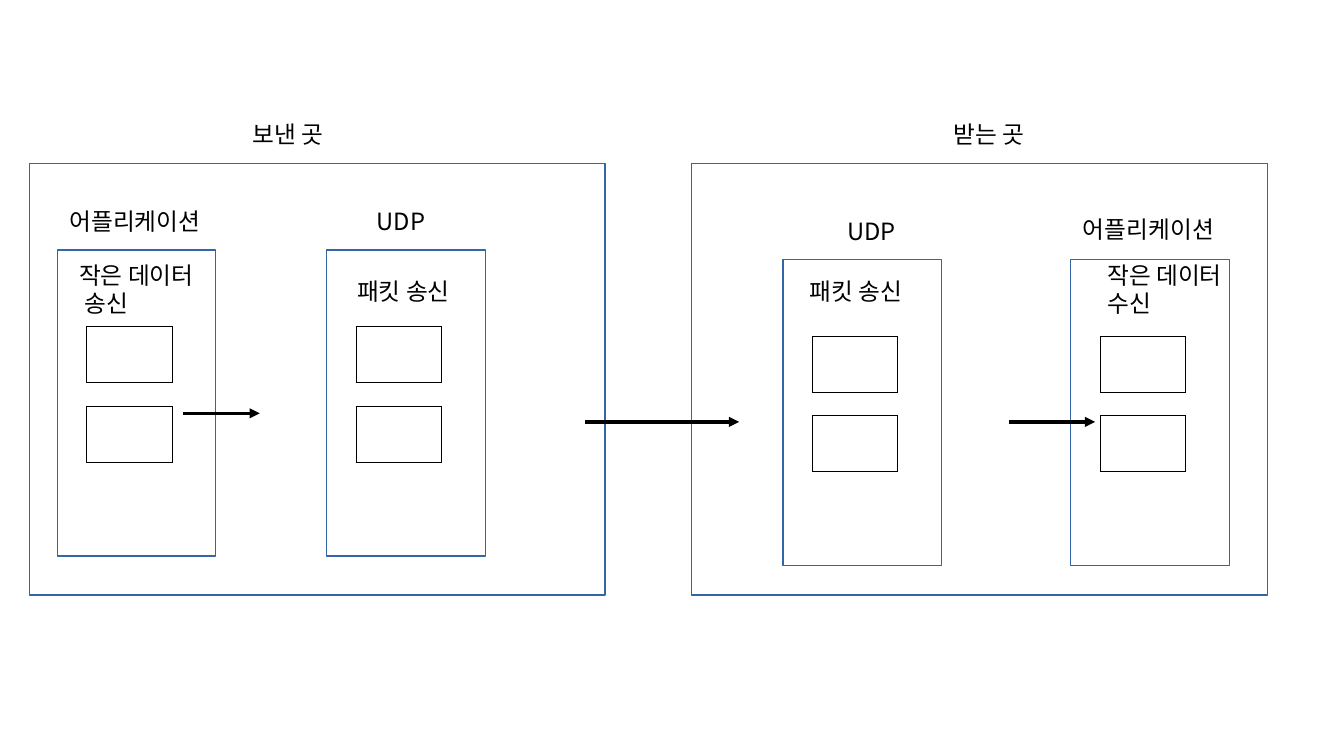
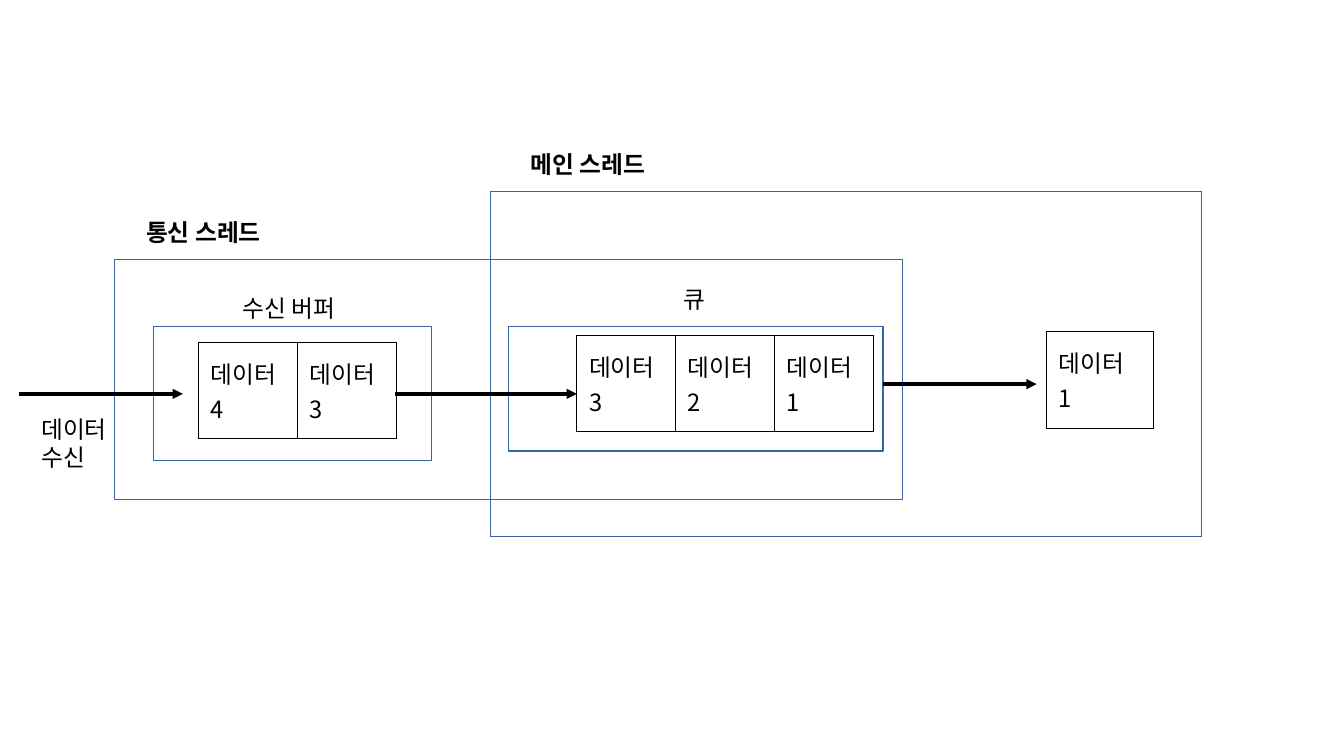
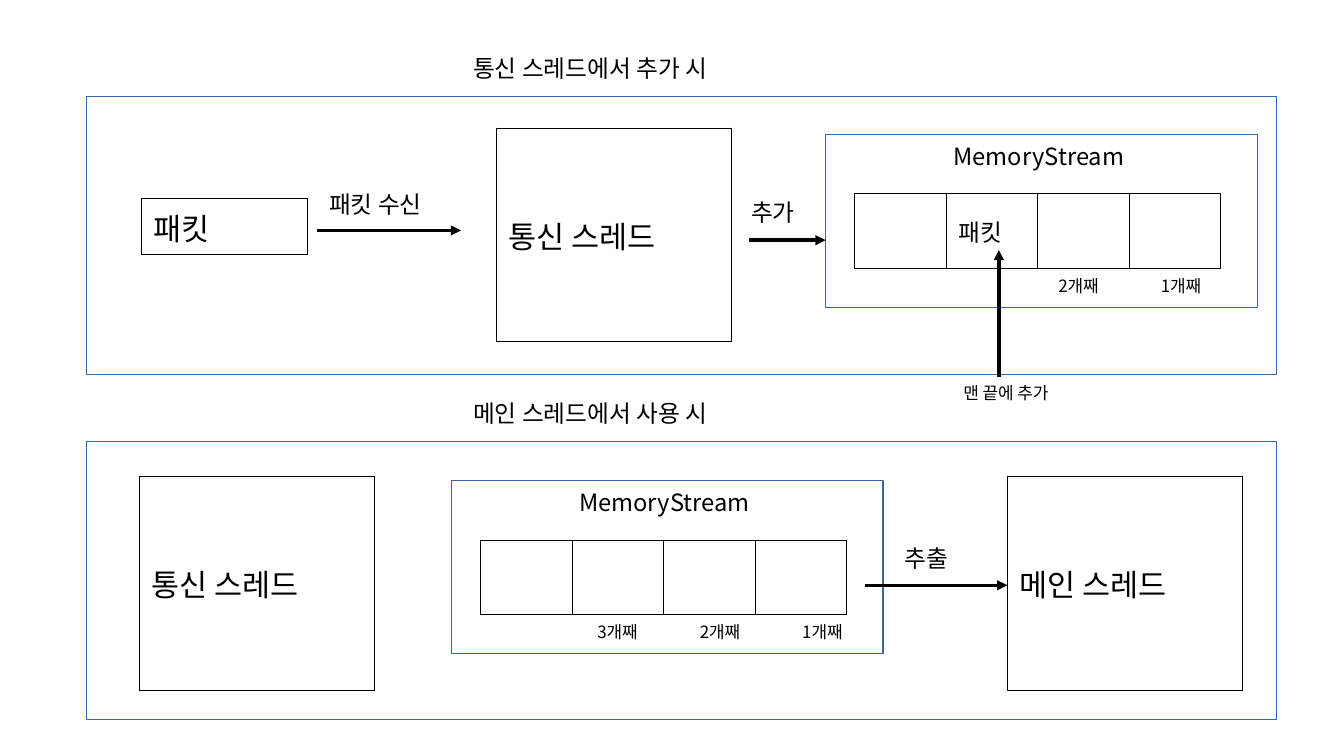
from dataclasses import dataclass

from lxml.etree import SubElement
from pptx import Presentation
from pptx.dml.color import RGBColor
from pptx.enum.shapes import MSO_CONNECTOR, MSO_SHAPE
from pptx.enum.text import MSO_ANCHOR, MSO_AUTO_SIZE
from pptx.oxml.ns import qn
from pptx.util import Inches, Pt


@dataclass(frozen=True)
class Theme:
    font: str = "Noto Sans CJK JP"
    ink: RGBColor = RGBColor(0, 0, 0)
    frame: RGBColor = RGBColor(0x34, 0x65, 0xA4)
    small: int = 10
    body: int = 14
    large: int = 18
    hairline: float = 0
    cell_border: float = 0.57


THEME = Theme()
SLIDE_SIZE = (11.02, 6.2)

# Slide 1: sender and receiver
HOST_TOP, HOST_SIZE = 1.34, (4.72, 3.54)
HOSTS = [  # frame left, name, name left
    (0.24, "보낸 곳", 1.97),
    (5.67, "받는 곳", 7.72),
]
LAYER_SIZE = (1.3, 2.51)
PACKET_SIZE, PACKET_OFFSET, PACKET_PITCH = (0.7, 0.46), (0.24, 0.63), 0.65
LAYERS = [  # left, top, (name, left, top), (action, left, top)
    (0.47, 2.05, ("어플리케이션", 0.47, 1.65), ("작은 데이터\n 송신", 0.55, 2.09)),
    (2.68, 2.05, ("UDP", 2.99, 1.65), ("패킷 송신", 2.83, 2.22)),
    (6.42, 2.13, ("UDP", 6.85, 1.73), ("패킷 송신", 6.54, 2.22)),
    (8.78, 2.13, ("어플리케이션", 8.78, 1.71), ("작은 데이터\n수신", 8.98, 2.09)),
]
HOST_ARROWS = [(1.5, 3.39, 2.13, 3.39), (4.8, 3.46, 6.06, 3.46), (8.27, 3.46, 8.98, 3.46)]

# Slide 2: receive buffer and queue
THREAD_FRAMES = [(0.94, 2.13, 6.46, 1.97), (4.02, 1.57, 5.83, 2.83)]
STORE_FRAMES = [(1.26, 2.68, 2.28, 1.1), (4.17, 2.68, 3.07, 1.02)]
THREAD_NAMES = [("통신 스레드", 1.1, 1.74, 2.28), ("메인 스레드", 4.25, 1.18, 2.2)]
STORE_NAMES = [
    ("수신 버퍼", 1.89, 2.36, 1.34),
    ("큐", 5.51, 2.29, 1.81),
    ("데이터\n수신", 0.24, 3.35, 1.26),
]
DATA_HEIGHT = 0.79
DATA_ROWS = [  # left, top, column width, items
    (1.63, 2.81, 0.81, ["데이터 4", "데이터 3"]),
    (4.73, 2.75, 0.81, ["데이터 3", "데이터 2", "데이터 1"]),
    (8.58, 2.72, 0.88, ["데이터 1"]),
]
QUEUE_ARROWS = [(3.24, 3.23, 4.73, 3.23), (7.24, 3.15, 8.5, 3.15), (0.16, 3.23, 1.5, 3.23)]

# Slide 3: adding to and reading from the stream
PANEL_LEFT, PANEL_SIZE = 0.71, (9.76, 2.28)
PANELS = [(0.79, "통신 스레드에서 추가 시"), (3.62, "메인 스레드에서 사용 시")]
THREAD_SIZE = (1.93, 1.75)
THREADS = [("통신 스레드", 4.07, 1.05), ("통신 스레드", 1.14, 3.91), ("메인 스레드", 8.26, 3.91)]
STREAM_SIZE, SLOT_SIZE = (3.54, 1.42), (0.75, 0.61)
ORDER_PITCH = 0.84
STREAMS = [  # left, top, slots, order labels, first label offset
    (6.77, 1.1, ["", "패킷", "", ""], ["2개째", "1개째"], 1.81),
    (3.7, 3.94, ["", "", "", ""], ["3개째", "2개째", "1개째"], 1.1),
]
STEPS = [
    ("패킷 수신", 2.6, 1.51, 1.24),
    ("추가", 6.06, 1.57, 0.8),
    ("추출", 7.32, 4.41, 0.71),
]
STREAM_ARROWS = [
    (2.6, 1.89, 3.78, 1.89),
    (6.14, 1.97, 6.77, 1.97),
    (8.19, 3.09, 8.19, 2.05),
    (7.09, 4.8, 8.26, 4.8),
]


def inches(*values):
    return [Inches(value) for value in values]


def write(text_frame, text, size=THEME.body, bold=False):
    for index, line in enumerate(text.split("\n")):
        paragraph = text_frame.add_paragraph() if index else text_frame.paragraphs[0]
        run = paragraph.add_run()
        run.text = line
        font = run.font
        font.name, font.size, font.bold = THEME.font, Pt(size), bold
        font.color.rgb = THEME.ink
        SubElement(run._r.get_or_add_rPr(), qn("a:ea"), typeface=THEME.font)


def add_label(slide, text, left, top, width=1.65, **text_format):
    lines = text.count("\n") + 1
    height = 0.1 + 0.02 * lines * text_format.get("size", THEME.body)
    text_frame = slide.shapes.add_textbox(*inches(left, top, width, height)).text_frame
    text_frame.word_wrap = True
    text_frame.auto_size = MSO_AUTO_SIZE.SHAPE_TO_FIT_TEXT
    write(text_frame, text, **text_format)


def add_frame(slide, left, top, width, height):
    shape = slide.shapes.add_shape(MSO_SHAPE.RECTANGLE, *inches(left, top, width, height))
    shape.shadow.inherit = False
    shape.fill.background()
    shape.line.color.rgb = THEME.frame
    shape.line.width = Pt(THEME.hairline)


def add_arrow(slide, *ends):
    connector = slide.shapes.add_connector(MSO_CONNECTOR.STRAIGHT, *inches(*ends))
    connector.line.color.rgb = THEME.ink
    connector.line.width = Pt(THEME.hairline)
    SubElement(connector.line._get_or_add_ln(), qn("a:tailEnd"), type="triangle")
    SubElement(connector._element.spPr, qn("a:effectLst"))


def outline_cell(cell):
    properties = cell._tc.get_or_add_tcPr()
    for side in ("lnL", "lnR", "lnT", "lnB"):
        border = SubElement(properties, qn(f"a:{side}"), w=str(Pt(THEME.cell_border)))
        fill = SubElement(border, qn("a:solidFill"))
        SubElement(fill, qn("a:srgbClr"), val=str(THEME.ink))
    cell.fill.background()


def add_cells(slide, left, top, cell_size, items=("",), anchor=MSO_ANCHOR.MIDDLE, **text_format):
    """Add a one-row table with equal columns."""
    width, height = cell_size
    table = slide.shapes.add_table(
        1, len(items), *inches(left, top, width * len(items), height)).table
    table.first_row = table.horz_banding = False
    for cell, item in zip(table.rows[0].cells, items):
        outline_cell(cell)
        cell.vertical_anchor = anchor
        if item:
            write(cell.text_frame, item, **text_format)
        else:
            cell.margin_top = cell.margin_bottom = 0


def build_hosts(slide):
    for left, name, name_left in HOSTS:
        add_frame(slide, left, HOST_TOP, *HOST_SIZE)
        add_label(slide, name, name_left, HOST_TOP - 0.41, 0.87)
    for left, top, name, action in LAYERS:
        add_frame(slide, left, top, *LAYER_SIZE)
        add_label(slide, *name)
        add_label(slide, *action)
        for row in range(2):
            packet_top = top + PACKET_OFFSET[1] + row * PACKET_PITCH
            add_cells(slide, left + PACKET_OFFSET[0], packet_top, PACKET_SIZE)
    for ends in HOST_ARROWS:
        add_arrow(slide, *ends)


def build_queue(slide):
    for frame in THREAD_FRAMES + STORE_FRAMES:
        add_frame(slide, *frame)
    for name in THREAD_NAMES:
        add_label(slide, *name, bold=True)
    for name in STORE_NAMES:
        add_label(slide, *name)
    for left, top, width, items in DATA_ROWS:
        add_cells(slide, left, top, (width, DATA_HEIGHT), items)
    for ends in QUEUE_ARROWS:
        add_arrow(slide, *ends)


def add_stream(slide, left, top, slots, orders, order_offset):
    add_frame(slide, left, top, *STREAM_SIZE)
    add_label(slide, "MemoryStream", left + 0.95, top + 0.01, 2.13)
    add_cells(slide, left + 0.24, top + 0.49, SLOT_SIZE, slots)
    for index, order in enumerate(orders):
        order_left = left + order_offset + index * ORDER_PITCH
        add_label(slide, order, order_left, top + 1.11, ORDER_PITCH, size=THEME.small)


def build_streams(slide):
    for top, title in PANELS:
        add_frame(slide, PANEL_LEFT, top, *PANEL_SIZE)
        add_label(slide, title, 3.78, top - 0.4, 3.39)
    for name, left, top in THREADS:
        add_cells(slide, left, top, THREAD_SIZE, [name], size=THEME.large)
    add_cells(slide, 1.16, 1.63, (1.36, 0.46), ["패킷"], MSO_ANCHOR.TOP, size=THEME.large)
    for stream in STREAMS:
        add_stream(slide, *stream)
    for step in STEPS:
        add_label(slide, *step)
    add_label(slide, "맨 끝에 추가", 7.8, 3.09, 2.28, size=THEME.small)
    for ends in STREAM_ARROWS:
        add_arrow(slide, *ends)


def main():
    presentation = Presentation()
    presentation.slide_width, presentation.slide_height = inches(*SLIDE_SIZE)
    blank_layout = presentation.slide_layouts[6]
    for build in (build_hosts, build_queue, build_streams):
        build(presentation.slides.add_slide(blank_layout))
    presentation.save("out.pptx")


if __name__ == "__main__":
    main()
